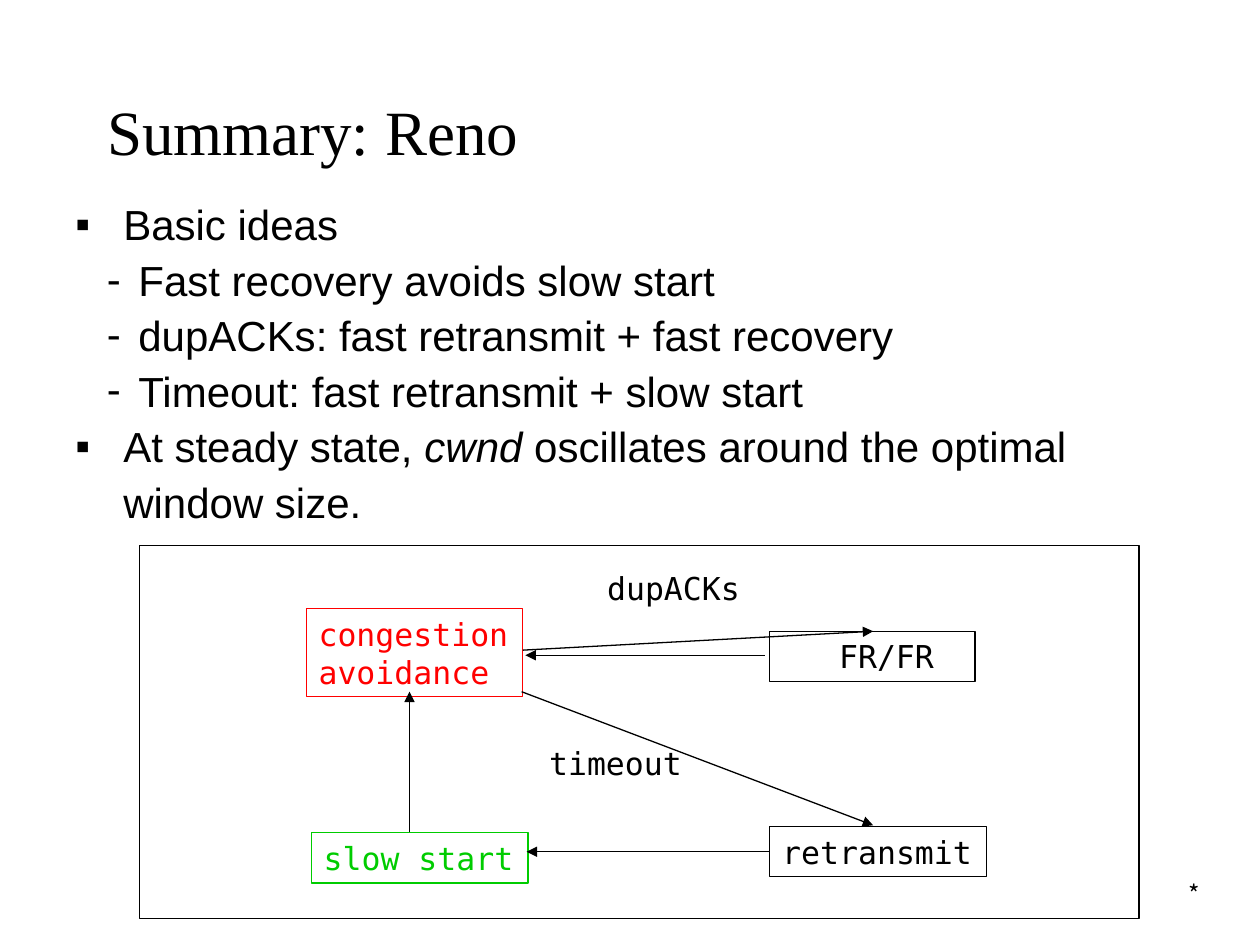
from dataclasses import dataclass

from lxml.etree import SubElement
from pptx import Presentation
from pptx.dml.color import RGBColor
from pptx.enum.shapes import MSO_CONNECTOR as Connector, MSO_SHAPE as Shape
from pptx.enum.text import MSO_ANCHOR as Anchor, PP_ALIGN as Align
from pptx.oxml.ns import qn
from pptx.util import Inches, Pt


@dataclass(frozen=True)
class Theme:
    """Colours, fonts and sizes of the deck."""
    ink: RGBColor = RGBColor(0, 0, 0)
    red: RGBColor = RGBColor(255, 0, 0)
    green: RGBColor = RGBColor(0, 204, 0)
    title_font: str = "Times New Roman"
    body_font: str = "Arial"
    code_font: str = "DejaVu Sans Mono"
    mark_font: str = "Noto Sans CJK SC"
    title_size: Pt = Pt(36)
    body_size: Pt = Pt(24)
    code_size: Pt = Pt(18)
    mark_size: Pt = Pt(14)
    line_width: Pt = Pt(0.75)


THEME = Theme()

BULLETS = [
    (0, [("Basic ideas", False)]),
    (1, [("Fast recovery avoids slow start", False)]),
    (1, [("dupACKs: fast retransmit + fast recovery", False)]),
    (1, [("Timeout: fast retransmit + slow start", False)]),
    (0, [("At steady state, ", False), ("cwnd", True),
         (" oscillates around the optimal window size.", False)]),
]
LEVELS = [("▪", 0.38, -0.38), ("-", 0.5, -0.25)]

STATES = [
    ("congestion avoidance", THEME.red, (1.32, 0.5, 1.72, 0.7), 0.1),
    ("FR/FR", THEME.ink, (5, 0.68, 1.63, 0.4), 0.55),
    ("slow start", THEME.green, (1.36, 2.28, 1.72, 0.4), 0.1),
    ("retransmit", THEME.ink, (5, 2.23, 1.72, 0.4), 0.1),
]
ARROWS = [
    ((3.04, 0.83), (5.82, 0.68)),
    ((4.96, 0.87), (3.06, 0.87)),
    ((3.03, 1.16), (5.82, 2.22)),
    ((5, 2.43), (3.07, 2.43)),
    ((2.14, 2.27), (2.14, 1.16)),
]
LABELS = [
    ("dupACKs", (3.61, 0.14, 1.3, 0.4)),
    ("timeout", (3.15, 1.53, 1.3, 0.4)),
]


def within(box, part):
    """Return a part of a box in slide lengths."""
    return [Inches(box[0] + part[0]), Inches(box[1] + part[1]), Inches(part[2]), Inches(part[3])]


def add_span(para, text, font, size, color, italic=False):
    """Add one formatted run to a paragraph."""
    span = para.add_run()
    span.text = text
    span.font.name, span.font.size, span.font.italic = font, size, italic
    span.font.color.rgb = color


def set_frame(shape, left_inset=0.1):
    """Wrap the text of a shape from its top left and return its first paragraph."""
    frame = shape.text_frame
    frame.word_wrap = True
    frame.vertical_anchor = Anchor.TOP
    frame.margin_left = Inches(left_inset)
    frame.paragraphs[0].alignment = Align.LEFT
    return frame.paragraphs[0]


def add_title(page, box):
    """Place and format the title."""
    title = page.shapes.title
    title.left, title.top, title.width, title.height = map(Inches, box)
    para = set_frame(title)
    title.text_frame.vertical_anchor = Anchor.MIDDLE
    add_span(para, "Summary: Reno", THEME.title_font, THEME.title_size, THEME.ink)


def add_bullets(page, box):
    """Place the two-level list of ideas."""
    body = page.shapes.add_textbox(*map(Inches, box))
    para = set_frame(body)
    for index, (level, spans) in enumerate(BULLETS):
        if index:
            para = body.text_frame.add_paragraph()
        mark, margin, indent = LEVELS[level]
        props = para._p.get_or_add_pPr()
        props.set("marL", str(Inches(margin)))
        props.set("indent", str(Inches(indent)))
        SubElement(props, qn("a:buFont"), typeface=THEME.body_font)
        SubElement(props, qn("a:buChar"), char=mark)
        para.level = level
        para.line_spacing = 1.1
        for text, italic in spans:
            add_span(para, text, THEME.body_font, THEME.body_size, THEME.ink, italic)


def add_outline(page, place, color):
    """Add an unfilled rectangle with a thin outline."""
    shape = page.shapes.add_shape(Shape.RECTANGLE, *place)
    shape.shadow.inherit = False
    shape.fill.background()
    shape.line.color.rgb = color
    shape.line.width = THEME.line_width
    return shape


def add_arrow(page, box, start, end):
    """Add a thin arrow between two points of a box."""
    points = [Inches(corner + offset) for point in (start, end)
              for corner, offset in zip(box, point)]
    arrow = page.shapes.add_connector(Connector.STRAIGHT, *points)
    arrow.line.color.rgb = THEME.ink
    arrow.line.width = THEME.line_width
    SubElement(arrow.line._get_or_add_ln(), qn("a:tailEnd"), type="triangle")
    SubElement(arrow._element.spPr, qn("a:effectLst"))


def add_diagram(page, box):
    """Draw the framed state diagram."""
    add_outline(page, map(Inches, box), THEME.ink)
    for text, color, part, inset in STATES:
        state = add_outline(page, within(box, part), color)
        add_span(set_frame(state, inset), text, THEME.code_font, THEME.code_size, color)
    for start, end in ARROWS:
        add_arrow(page, box, start, end)
    for text, part in LABELS:
        label = page.shapes.add_textbox(*within(box, part))
        add_span(set_frame(label), text, THEME.code_font, THEME.code_size, THEME.ink)


def add_mark(page, box):
    """Place the footer mark."""
    para = set_frame(page.shapes.add_textbox(*map(Inches, box)))
    para.alignment = Align.RIGHT
    add_span(para, "*", THEME.mark_font, THEME.mark_size, THEME.ink)


def main():
    """Build and save the deck."""
    deck = Presentation()
    deck.slide_width, deck.slide_height = Inches(10), Inches(7.5)
    page = deck.slides.add_slide(deck.slide_layouts[5])
    add_mark(page, (9.04, 6.93, 0.58, 0.33))
    add_title(page, (0.75, 0.66, 8.5, 0.75))
    add_bullets(page, (0.5, 1.49, 9.09, 3.01))
    add_diagram(page, (1.11, 4.33, 7.93, 2.96))
    deck.save("out.pptx")


if __name__ == "__main__":
    main()
